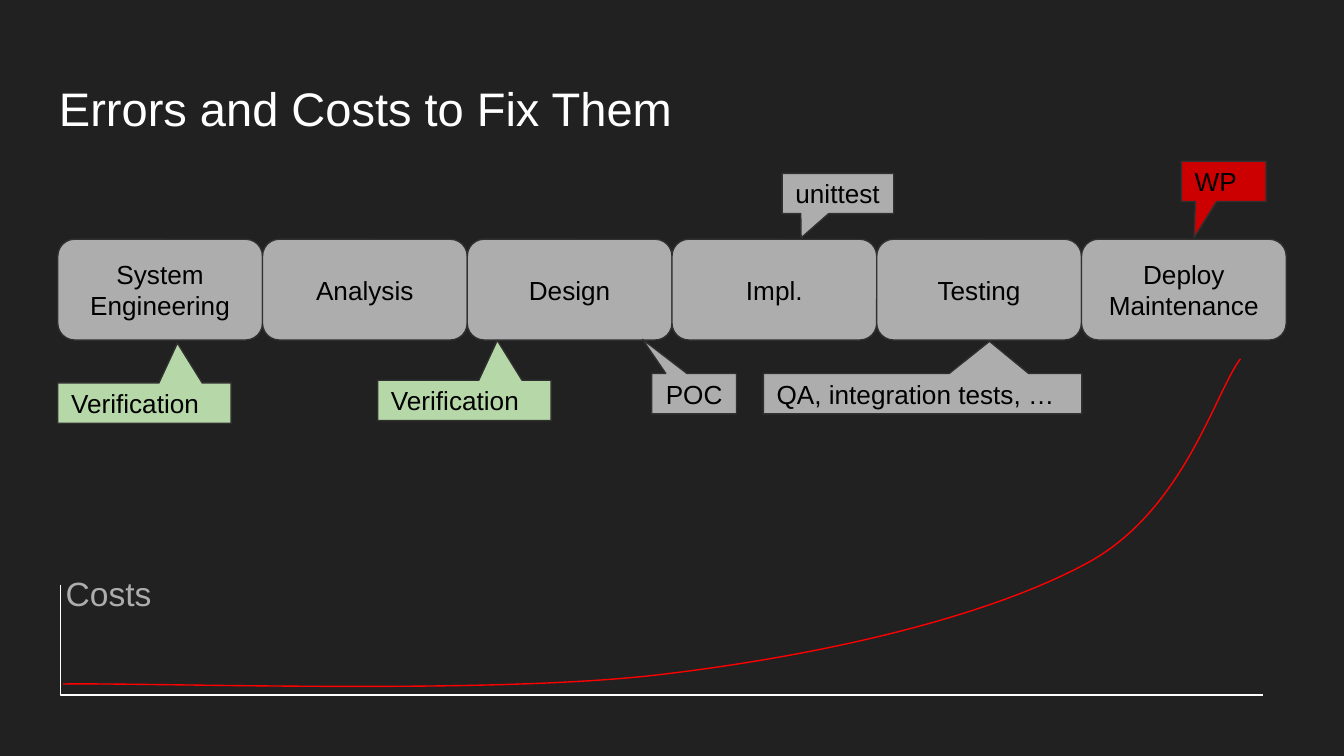
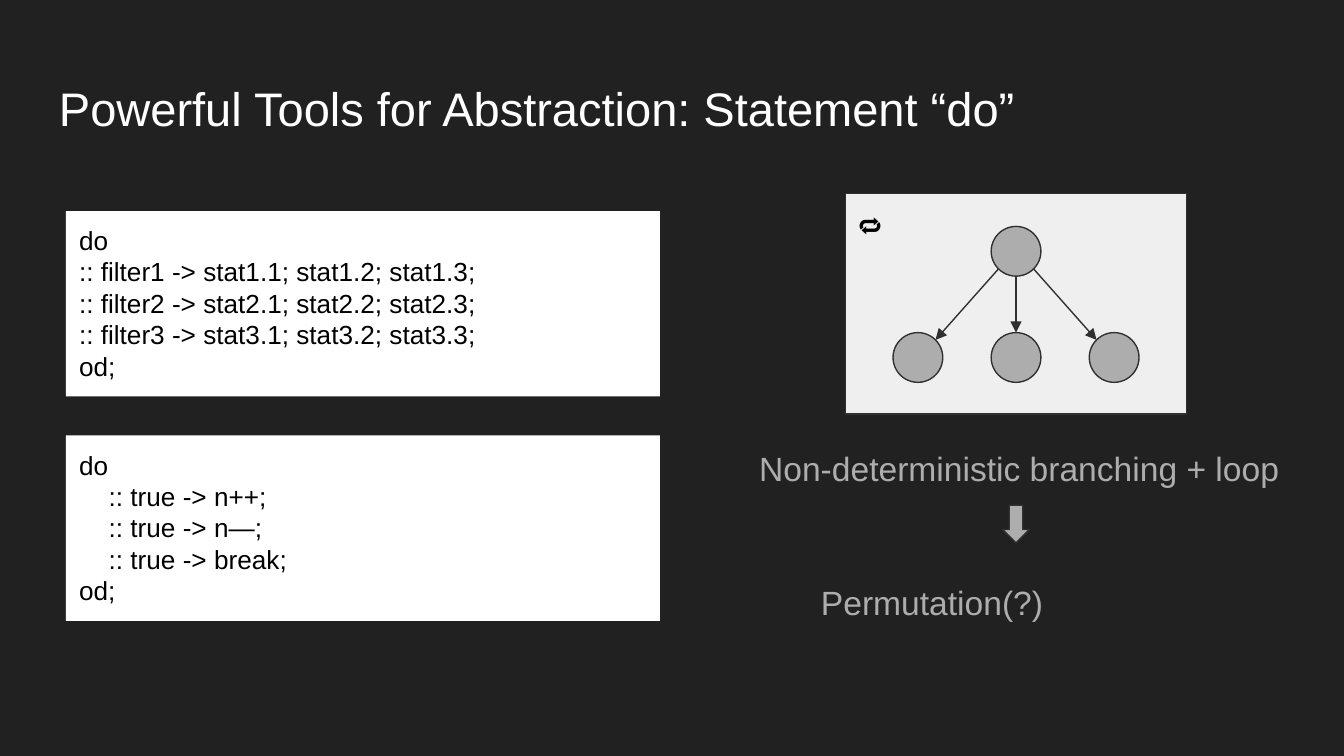
from math import sqrt

from lxml.etree import SubElement
from pptx import Presentation
from pptx.dml.color import RGBColor
from pptx.enum.shapes import MSO_CONNECTOR as Connector, MSO_SHAPE as Preset
from pptx.enum.text import MSO_ANCHOR as Anchor, MSO_AUTO_SIZE as AutoSize, PP_ALIGN as Align
from pptx.oxml.ns import qn
from pptx.util import Inches, Pt

SLIDE_WIDTH = 10
SLIDE_HEIGHT = SLIDE_WIDTH * 9 / 16

COLORS = {
    "background": "212121",
    "title": "FFFFFF",
    "grey": "ADADAD",
    "outline": "303030",
    "text": "000000",
    "white": "FFFFFF",
    "panel": "EFEFEF",
    "green": "B6D7A8",
    "alarm": "CC0000",
    "curve": "FF0000",
}
FONT = "Arial"
LINE_WIDTH = 0.75
MARGIN = 0.1

PHASES = ["System Engineering", "Analysis", "Design", "Impl.", "Testing", "Deploy Maintenance"]
PHASE_LEFT, PHASE_RIGHT = 0.43, 9.57

CALLOUT_HEIGHT = 0.3
VERIFICATION_TIP = (0.19, -1.49)
# text, left, top, width, fill, tip (relative to the box), alignment
TEST_CALLOUTS = [
    ("POC", 4.85, 2.78, 0.63, "grey", (-0.61, -1.35), Align.CENTER),
    ("QA, integration tests, …", 5.68, 2.78, 2.37, "grey", (0.21, -1.3), Align.LEFT),
    ("WP", 8.79, 1.2, 0.63, "alarm", (-0.35, 1.4), Align.LEFT),
    ("unittest", 5.82, 1.29, 0.83, "grey", (-0.33, 1.1), Align.LEFT),
]
VERIFICATION_CALLOUTS = [
    ("Verification", 2.81, 2.83, 1.29, "green", VERIFICATION_TIP, Align.LEFT),
    ("Verification", 0.43, 2.85, 1.29, "green", VERIFICATION_TIP, Align.LEFT),
]

# Start point, then two control points and an end point per segment
COST_CURVE = [
    (0.47, 5.09),
    (1.21, 5.08), (3.64, 5.17), (4.91, 5.02),
    (6.18, 4.87), (7.37, 4.58), (8.09, 4.19),
    (8.81, 3.8), (9.04, 2.92), (9.23, 2.67),
]

FILTER_LOOP = ["do"] + [
    f":: filter{n} -> stat{n}.1; stat{n}.2; stat{n}.3;" for n in (1, 2, 3)
] + ["od;"]
COUNTER_LOOP = ["do", ":: true -> n++;", ":: true -> n—;", ":: true -> break;", "od;"]

NODE_SIZE = 0.37
NODE_STEP = 0.73
ROOT_CENTER = (7.56, 1.87)
LEAF_Y = 2.66


def rgb(name):
    return RGBColor.from_string(COLORS[name])


def write(shape, lines, size=14, color="text", align=Align.LEFT, anchor=Anchor.TOP):
    frame = shape.text_frame
    frame.word_wrap = True
    frame.vertical_anchor = anchor
    frame.margin_left = frame.margin_right = Inches(MARGIN)
    frame.margin_top = frame.margin_bottom = Inches(MARGIN)
    frame.text = "\n".join(lines)
    for paragraph in frame.paragraphs:
        paragraph.alignment = align
        paragraph.font.name = FONT
        paragraph.font.size = Pt(size)
        paragraph.font.color.rgb = rgb(color)
    return frame


def add_label(slide, text, left, top, width, height, size=18, color="grey"):
    box = slide.shapes.add_textbox(Inches(left), Inches(top), Inches(width), Inches(height))
    write(box, [text], size, color)


def add_box(slide, preset, left, top, width, height, fill="grey", line="outline"):
    box = slide.shapes.add_shape(
        preset, Inches(left), Inches(top), Inches(width), Inches(height))
    box.shadow.inherit = False
    box.fill.solid()
    box.fill.fore_color.rgb = rgb(fill)
    if line:
        box.line.color.rgb = rgb(line)
        box.line.width = Pt(LINE_WIDTH)
    else:
        box.line.fill.background()
    return box


def add_callouts(slide, callouts):
    for text, left, top, width, fill, tip, align in callouts:
        callout = add_box(
            slide, Preset.RECTANGULAR_CALLOUT, left, top, width, CALLOUT_HEIGHT, fill)
        callout.adjustments[0], callout.adjustments[1] = tip
        write(callout, [text], align=align, anchor=Anchor.MIDDLE)


def add_line(slide, kind, start, end, color, arrow=False):
    line = slide.shapes.add_connector(kind, *map(Inches, start + end))
    line.line.color.rgb = rgb(color)
    line.line.width = Pt(LINE_WIDTH)
    properties = line._element.spPr
    if arrow:
        SubElement(properties.find(qn("a:ln")), qn("a:tailEnd"), type="triangle")
    SubElement(properties, qn("a:effectLst"))
    return line


def add_axes(slide):
    axes = add_line(slide, Connector.ELBOW, (0.45, 4.35), (9.4, 5.17), "white")
    guides = axes._element.spPr.find(qn("a:prstGeom")).get_or_add_avLst()
    SubElement(guides, qn("a:gd"), name="adj1", fmla="val 0")


def add_curve(slide, points):
    start, *others = [(Inches(x), Inches(y)) for x, y in points]
    builder = slide.shapes.build_freeform(*start)
    builder.add_line_segments(others, close=False)
    curve = builder.convert_to_shape()
    curve.shadow.inherit = False
    curve.fill.background()
    curve.line.color.rgb = rgb("curve")
    curve.line.width = Pt(LINE_WIDTH)
    # Turn each three straight steps into one Bézier segment
    outline = next(curve._element.iter(qn("a:path")))
    steps = outline.findall(qn("a:lnTo"))
    for first in range(0, len(steps), 3):
        bezier = SubElement(outline, qn("a:cubicBezTo"))
        for step in steps[first:first + 3]:
            bezier.append(step[0])
            outline.remove(step)


def add_code(slide, lines, top, indent=0):
    code = add_box(slide, Preset.RECTANGLE, 0.49, top, 4.42, 1.38, "white", None)
    frame = write(code, lines)
    frame.auto_size = AutoSize.SHAPE_TO_FIT_TEXT
    if indent:
        for paragraph in frame.paragraphs[1:-1]:
            paragraph._p.get_or_add_pPr().set("marL", str(Inches(indent)))


def add_node(slide, x, y):
    add_box(slide, Preset.OVAL, x - NODE_SIZE / 2, y - NODE_SIZE / 2, NODE_SIZE, NODE_SIZE)


def add_branching(slide):
    root_x, root_y = ROOT_CENTER
    sides = (-1, 0, 1)
    add_node(slide, root_x, root_y)
    for side in sides:
        add_node(slide, root_x + side * NODE_STEP, LEAF_Y)
    # Arrows leave and meet the circles at the bottom, top or 45° points
    for side in sides:
        reach = NODE_SIZE / 2 / (sqrt(2) if side else 1)
        start = (root_x + side * reach, root_y + reach)
        end = (root_x + side * (NODE_STEP - reach), LEAF_Y - reach)
        add_line(slide, Connector.STRAIGHT, start, end, "outline", arrow=True)


def add_slide(deck, title):
    slide = deck.slides.add_slide(deck.slide_layouts[6])
    slide.background.fill.solid()
    slide.background.fill.fore_color.rgb = rgb("background")
    add_label(slide, title, 0.34, 0.49, 9.32, 0.63, 25.2, "title")
    return slide


def build_costs(deck):
    slide = add_slide(deck, "Errors and Costs to Fix Them")

    # Development phases
    width = (PHASE_RIGHT - PHASE_LEFT) / len(PHASES)
    for index, name in enumerate(PHASES):
        phase = add_box(
            slide, Preset.ROUNDED_RECTANGLE, PHASE_LEFT + index * width, 1.78, width, 0.75)
        write(phase, [name], align=Align.CENTER, anchor=Anchor.MIDDLE)

    add_callouts(slide, TEST_CALLOUTS)

    # Cost graph
    add_axes(slide)
    add_curve(slide, COST_CURVE)
    add_label(slide, "Costs", 0.39, 4.16, 1.1, 0.41)

    add_callouts(slide, VERIFICATION_CALLOUTS)


def build_do_statement(deck):
    slide = add_slide(deck, "Powerful Tools for Abstraction: Statement “do”")

    # Code samples
    add_code(slide, FILTER_LOOP, 1.57)
    add_code(slide, COUNTER_LOOP, 3.24, indent=0.22)

    # Branching diagram
    panel = add_box(slide, Preset.RECTANGLE, 6.29, 1.44, 2.54, 1.64, "panel")
    write(panel, ["🔁"])
    add_branching(slide)

    # Conclusion
    add_label(slide, "Non-deterministic branching + loop", 5.55, 3.23, 4.22, 0.52)
    add_box(slide, Preset.DOWN_ARROW, 7.46, 3.76, 0.2, 0.28)
    add_label(slide, "Permutation(?)", 6.01, 4.23, 3.75, 0.52)


def main():
    deck = Presentation()
    deck.slide_width, deck.slide_height = Inches(SLIDE_WIDTH), Inches(SLIDE_HEIGHT)
    build_costs(deck)
    build_do_statement(deck)
    deck.save("out.pptx")


if __name__ == "__main__":
    main()
